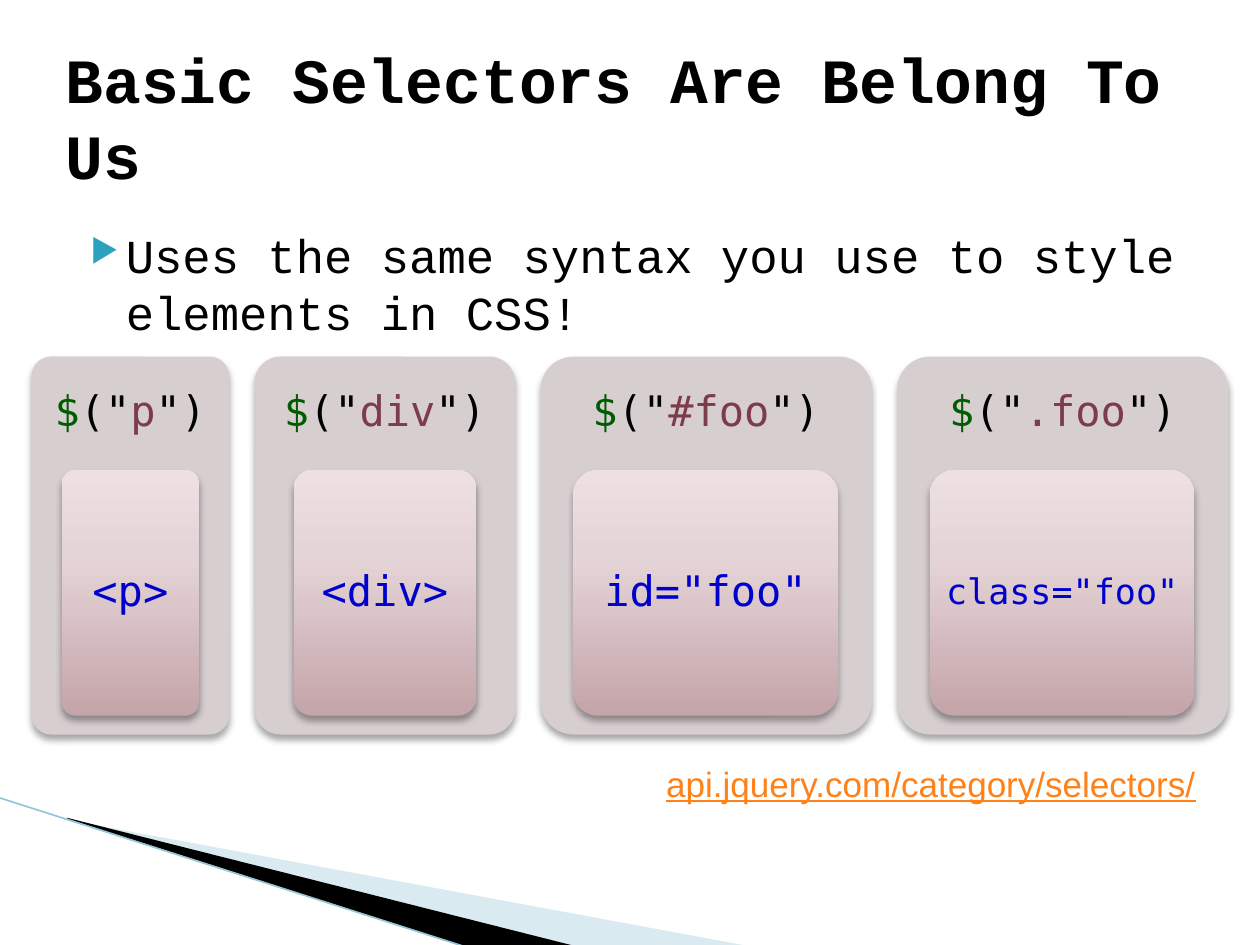
"""Build the slide on basic jQuery selectors."""
from lxml.etree import SubElement
from pptx import Presentation
from pptx.dml.color import RGBColor
from pptx.enum.shapes import MSO_CONNECTOR, MSO_SHAPE
from pptx.enum.text import MSO_ANCHOR, MSO_AUTO_SIZE, PP_ALIGN
from pptx.oxml import parse_xml
from pptx.oxml.ns import nsdecls, qn
from pptx.util import Pt

PX = 9144
COLORS = {
    "ink": "000000", "wedge": "A0CBDC", "edge": "97C5D8", "bullet": "2DA2BF",
    "panel": "D7CED0", "tile_low": "C4A5A9", "tile_mid": "E5D4D7",
    "tile_high": "EEE0E2", "dollar": "005C00", "selector": "7D3C4A",
    "markup": "0000CC", "link": "FF8119",
}
MONO = "DejaVu Sans Mono"


def write(box, spans, margins, align, anchor, **font_values):
    frame = box.text_frame
    frame.word_wrap = True
    frame.auto_size = MSO_AUTO_SIZE.NONE
    frame.vertical_anchor = anchor
    for side, margin in zip(("left", "top", "right", "bottom"), margins):
        setattr(frame, f"margin_{side}", margin * PX)
    para = frame.paragraphs[0]
    para.alignment = align
    for text, color in spans:
        span = para.add_run()
        span.text = text
        span.font.color.rgb = RGBColor.from_string(COLORS[color])
        for name, value in font_values.items():
            setattr(span.font, name, value)
    return para


def add_card(left, top, width, height):
    card = page.shapes.add_shape(
        MSO_SHAPE.ROUNDED_RECTANGLE, left * PX, top * PX, width * PX, height * PX)
    card.adjustments[0] = 0.1
    card.line.fill.background()
    card.fill.solid()
    card.fill.fore_color.rgb = RGBColor.from_string(COLORS["panel"])
    card._element.spPr.append(parse_xml(
        f'<a:effectLst {nsdecls("a")}><a:outerShdw blurRad="{Pt(4)}" dist="{Pt(3)}" '
        f'dir="5400000" rotWithShape="0"><a:srgbClr val="{COLORS["ink"]}">'
        '<a:alpha val="35000"/></a:srgbClr></a:outerShdw></a:effectLst>'))
    return card


deck = Presentation()
deck.slide_width, deck.slide_height = 1000 * PX, 750 * PX
page = deck.slides.add_slide(deck.slide_layouts[5])

wedges = [
    ("wedge", [(55, 651), (595, 751), (456, 751), (55, 650)]),
    ("ink", [(53, 649), (457, 751), (372, 752), (54, 650)]),
]
for color, points in wedges:
    builder = page.shapes.build_freeform(*points[0], scale=PX)
    builder.add_line_segments(points[1:], close=True)
    wedge = builder.convert_to_shape()
    wedge.shadow.inherit = False
    wedge.line.fill.background()
    wedge.fill.solid()
    wedge.fill.fore_color.rgb = RGBColor.from_string(COLORS[color])
    if color == "wedge":
        tint = wedge._element.spPr.find(qn("a:solidFill"))[0]
        SubElement(tint, qn("a:alpha"), val="40000")

edge = page.shapes.add_connector(
    MSO_CONNECTOR.STRAIGHT, -1 * PX, 633 * PX, 371 * PX, 752 * PX)
edge.line.color.rgb = RGBColor.from_string(COLORS["edge"])
edge.line.width = Pt(0.95)
SubElement(edge._element.spPr, qn("a:effectLst"))

title = page.shapes.title
title.left, title.top, title.width, title.height = (
    length * PX for length in (42, 30, 958, 125))
write(title, [("Basic Selectors Are Belong To Us", "ink")], (10, 5, 10, 5),
      PP_ALIGN.LEFT, MSO_ANCHOR.MIDDLE, name="Courier New", size=Pt(36), bold=True)

body = page.shapes.add_textbox(50 * PX, 175 * PX, 900 * PX, 192 * PX)
point = write(body, [("Uses the same syntax you use to style elements in CSS!", "ink")],
              (10, 5, 10, 5), PP_ALIGN.LEFT, MSO_ANCHOR.TOP,
              name="Courier New", size=Pt(27))
point.space_before = Pt(4)
properties = point._p.get_or_add_pPr()
properties.set("marL", str(40 * PX))
properties.set("indent", str(-28 * PX))
bullet_color = SubElement(properties, qn("a:buClr"))
SubElement(bullet_color, qn("a:srgbClr"), val=COLORS["bullet"])
SubElement(properties, qn("a:buSzPct"), val="68000")
SubElement(properties, qn("a:buChar"), char="▶")

selectors = [
    ("p", "<p>", 157, 109, 24),
    ("div", "<div>", 207, 145, 24),
    ("#foo", 'id="foo"', 263, 210, 24),
    (".foo", 'class="foo"', 263, 210, 20),
]
left, top, gap = 25, 283, 20
for selector, markup, panel_width, tile_width, size in selectors:
    add_card(left, top, panel_width, 300)
    label = page.shapes.add_textbox(left * PX, top * PX, panel_width * PX, 90 * PX)
    call = [("$", "dollar"), ('("', "ink"), (selector, "selector"), ('")', "ink")]
    write(label, call, (10, 10, 10, 10), PP_ALIGN.CENTER, MSO_ANCHOR.MIDDLE,
          name=MONO, size=Pt(24)).line_spacing = 0.9

    tile_left, tile_top, tile_height = left + (panel_width - tile_width) // 2, top + 90, 195
    tile = add_card(tile_left, tile_top, tile_width, tile_height)
    stops = "".join(
        f'<a:gs pos="{place}000"><a:srgbClr val="{COLORS[color]}"/></a:gs>'
        for place, color in ((0, "tile_low"), (65, "tile_mid"), (100, "tile_high")))
    tile_properties = tile._element.spPr
    tile_properties.replace(tile_properties.find(qn("a:solidFill")), parse_xml(
        f'<a:gradFill {nsdecls("a")} rotWithShape="1"><a:gsLst>{stops}</a:gsLst>'
        '<a:lin ang="16200000" scaled="0"/></a:gradFill>'))

    inset = round(0.029 * min(tile_width, tile_height))
    caption = page.shapes.add_textbox(
        (tile_left + inset) * PX, (tile_top + inset) * PX,
        (tile_width - 2 * inset) * PX, (tile_height - 2 * inset) * PX)
    write(caption, [(markup, "markup")], (6, 4, 6, 4), PP_ALIGN.CENTER,
          MSO_ANCHOR.MIDDLE, name=MONO, size=Pt(size)).line_spacing = 0.9
    left += panel_width + gap

link = page.shapes.add_textbox(0, 600 * PX, 967 * PX, 44 * PX)
write(link, [("api.jquery.com/category/selectors/", "link")], (10, 5, 18, 5),
      PP_ALIGN.RIGHT, MSO_ANCHOR.TOP, name="Arial", size=Pt(20), underline=True)

deck.save("out.pptx")
